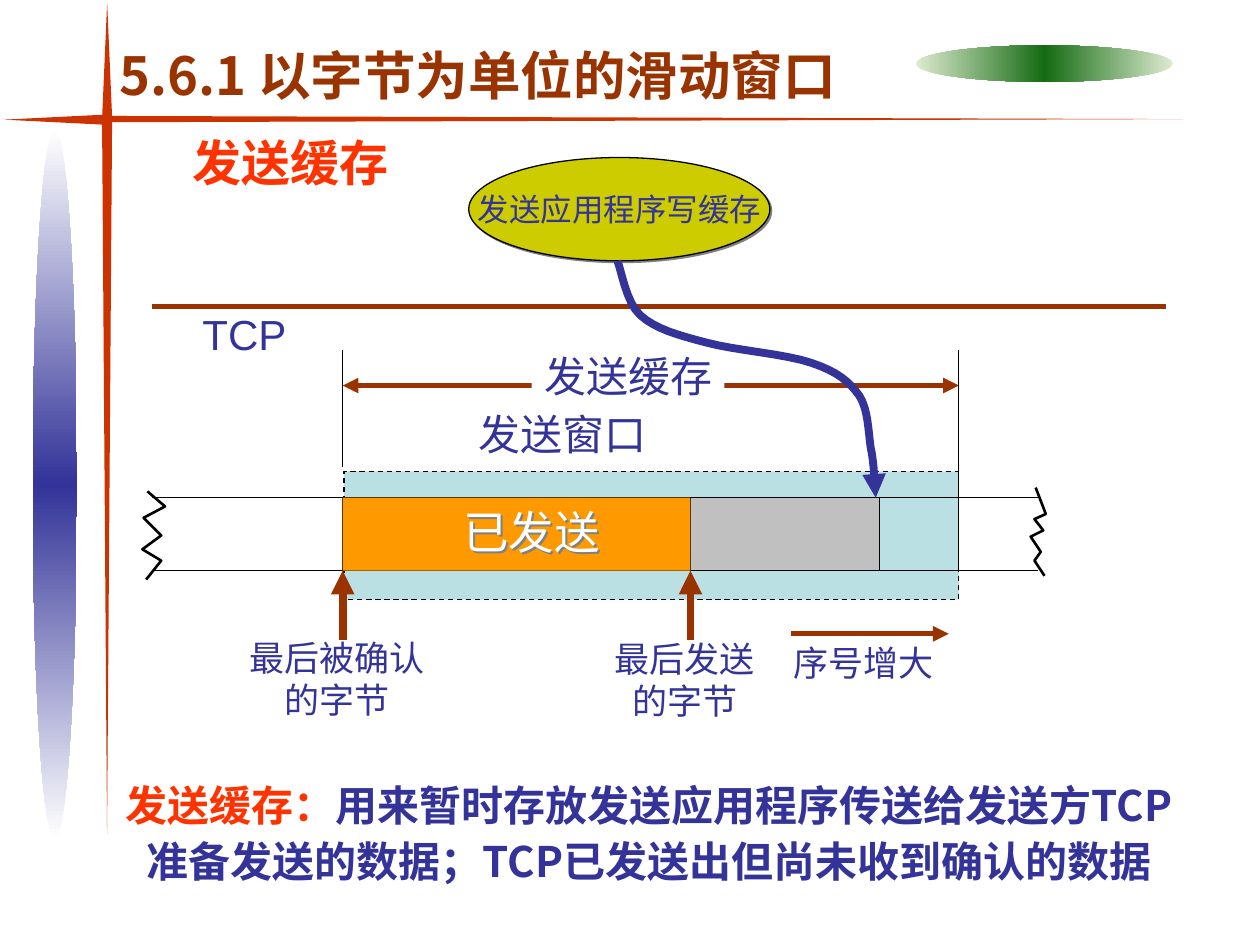
from dataclasses import dataclass

from lxml.etree import SubElement
from pptx import Presentation
from pptx.dml.color import RGBColor
from pptx.enum.dml import MSO_LINE
from pptx.enum.shapes import MSO_CONNECTOR, MSO_SHAPE
from pptx.enum.text import MSO_ANCHOR, MSO_AUTO_SIZE, PP_ALIGN
from pptx.oxml.ns import qn
from pptx.util import Inches, Pt


@dataclass(frozen=True)
class Theme:
    latin: str = "Arial"
    chinese: str = "Noto Sans CJK SC"
    navy: str = "333399"
    brown: str = "993300"
    red: str = "FF3300"
    rust: str = "CC3300"
    black: str = "000000"
    white: str = "FFFFFF"
    shadow: str = "808080"
    window: str = "BBE0E3"
    sent: str = "FF9900"
    unsent: str = "C0C0C0"
    application: str = "CCCC00"
    green: str = "156B13"
    pale_green: str = "DDEBCF"
    title: int = 30
    heading: int = 28
    status: int = 26
    label: int = 24
    note: int = 20
    small: int = 18
    thin: float = 0.75
    edge: float = 1.5
    medium: float = 3
    thick: float = 4.5


THEME = Theme()

# Positions along the byte stream, in inches
ACKED, LAST_SENT, WRITTEN, BUFFER_END = 2.72, 5.48, 6.98, 7.61
STREAM_LEFT, STREAM_RIGHT = 1.21, 8.24
STREAM_TOP, STREAM_BOTTOM = 3.95, 4.53

TITLE = "5.6.1 以字节为单位的滑动窗口"
HEADING = "发送缓存"
EXPLANATION = [
    [("发送缓存：", THEME.red), ("用来暂时存放发送应用程序传送给发送方TCP", THEME.navy)],
    [("准备发送的数据；TCP已发送出但尚未收到确认的数据", THEME.navy)],
]
# text, box, type size
LABELS = [
    ("最后被确认\n的字节", (1.88, 5, 1.59, 0.77), THEME.note),
    ("最后发送\n的字节", (4.78, 5.01, 1.31, 0.77), THEME.note),
    ("序号增大", (6.2, 5.04, 1.31, 0.44), THEME.note),
    ("发送窗口", (3.7, 3.19, 1.53, 0.5), THEME.label),
    ("TCP", (1.48, 2.4, 0.92, 0.5), THEME.label),
]
# box, rotation of each tapering blade of the frame
BLADES = [
    ((0.81, 0.94, 0.08, 5.68), 0),
    ((5.08, -3.34, 0.05, 8.57), 270),
    ((0.39, 0.55, 0.08, 0.8), 90),
    ((0.81, 0.02, 0.08, 0.92), 180),
]
# box, outer colour, middle colour, angle
GLOWS = [
    ((7.27, 0.36, 2.04, 0.29), THEME.pale_green, THEME.green, 0),
    ((0.26, 1.03, 0.35, 5.63), THEME.white, THEME.navy, 90),
]
TORN_EDGES = [
    [(8.22, 3.87), (8.3, 4.08), (8.21, 4.12), (8.28, 4.21),
     (8.18, 4.26), (8.26, 4.38), (8.21, 4.45), (8.29, 4.57)],
    [(1.17, 3.9), (1.31, 4.02), (1.14, 4.11), (1.28, 4.25),
     (1.13, 4.36), (1.28, 4.45), (1.16, 4.6)],
]
# Bezier knots: start, then two controls and an end for each segment
WRITE_CURVE = [
    (4.9, 2.07), (4.93, 2.14), (4.97, 2.4), (5.08, 2.5),
    (5.2, 2.61), (5.38, 2.66), (5.61, 2.72), (5.83, 2.78), (6.24, 2.81), (6.44, 2.88),
    (6.65, 2.95), (6.74, 3.03), (6.82, 3.14), (6.89, 3.25), (6.89, 3.41), (6.91, 3.55),
    (6.94, 3.68), (6.94, 3.86), (6.95, 3.95),
]


def rgb(color):
    return RGBColor.from_string(color)


def add_drop_shadow(shape):
    shape.shadow.inherit = False
    effects = shape._element.spPr.find(qn("a:effectLst"))
    shadow = SubElement(effects, qn("a:outerShdw"), dist="17960", dir="2700000")
    SubElement(shadow, qn("a:srgbClr"), val=THEME.shadow)


def style_line(line, color, width, head=False, tail=False):
    line.color.rgb = rgb(color)
    line.width = Pt(width)
    for name, wanted in (("a:headEnd", head), ("a:tailEnd", tail)):
        if wanted:
            SubElement(line._get_or_add_ln(), qn(name), type="triangle")


def add_line(slide, start, end, color=THEME.black, width=THEME.thin, **arrows):
    line = slide.shapes.add_connector(MSO_CONNECTOR.STRAIGHT, *map(Inches, start + end))
    style_line(line.line, color, width, **arrows)
    SubElement(line._element.spPr, qn("a:effectLst"))


def add_path(slide, points, color, width, **arrows):
    points = [(Inches(x), Inches(y)) for x, y in points]
    builder = slide.shapes.build_freeform(*points[0])
    builder.add_line_segments(points[1:], close=False)
    shape = builder.convert_to_shape()
    shape.shadow.inherit = False
    shape.fill.background()
    style_line(shape.line, color, width, **arrows)


def add_block(slide, kind, box, fill, rotation=0):
    shape = slide.shapes.add_shape(kind, *map(Inches, box))
    shape.shadow.inherit = False
    shape.fill.solid()
    shape.fill.fore_color.rgb = rgb(fill)
    shape.line.fill.background()
    shape.rotation = rotation
    return shape


def add_glow(slide, box, outer, middle, angle):
    shape = add_block(slide, MSO_SHAPE.OVAL, box, outer)
    shape.fill.gradient()
    shape.fill.gradient_angle = angle
    stops = shape._element.spPr.find(qn("a:gradFill")).find(qn("a:gsLst"))
    stops.clear()
    for position, color in ((0, outer), (50000, middle), (100000, outer)):
        stop = SubElement(stops, qn("a:gs"), pos=str(position))
        SubElement(stop, qn("a:srgbClr"), val=color)


def write(shape, text, size, color=THEME.navy, font=THEME.latin, bold=False, align=PP_ALIGN.LEFT,
          wrap=False, spacing=None):
    """Fill a shape with a string, or with paragraphs given as lists of (text, colour)."""
    frame = shape.text_frame
    frame.word_wrap = wrap
    paragraphs = [[(row, color)] for row in text.split("\n")] if isinstance(text, str) else text
    for index, runs in enumerate(paragraphs):
        paragraph = frame.add_paragraph() if index else frame.paragraphs[0]
        paragraph.alignment = align
        if spacing:
            paragraph.line_spacing = spacing
        for run_text, run_color in runs:
            run = paragraph.add_run()
            run.text = run_text
            run.font.size, run.font.bold = Pt(size), bold
            run.font.color.rgb = rgb(run_color)
            run.font.name = font
            SubElement(run._r.get_or_add_rPr(), qn("a:ea"), typeface=THEME.chinese)


def add_text(slide, text, box, size, **style):
    shape = slide.shapes.add_textbox(*map(Inches, box))
    write(shape, text, size, **style)
    shape.text_frame.auto_size = MSO_AUTO_SIZE.SHAPE_TO_FIT_TEXT
    return shape


def sample_curve(knots, steps=8):
    points = [knots[0]]
    for first in range(0, len(knots) - 1, 3):
        segment = knots[first:first + 4]
        for step in range(1, steps + 1):
            t = step / steps
            weights = ((1 - t) ** 3, 3 * t * (1 - t) ** 2, 3 * t * t * (1 - t), t ** 3)
            points.append(tuple(sum(w * p[axis] for w, p in zip(weights, segment)) for axis in (0, 1)))
    return points


def add_frame(slide):
    for glow in GLOWS:
        add_glow(slide, *glow)
    for box, rotation in BLADES:
        add_block(slide, MSO_SHAPE.FLOWCHART_MERGE, box, THEME.rust, rotation)


def add_stream(slide):
    height = STREAM_BOTTOM - STREAM_TOP
    add_block(slide, MSO_SHAPE.RECTANGLE, (LAST_SENT, STREAM_TOP, WRITTEN - LAST_SENT, height), THEME.unsent)
    for y in (STREAM_TOP, STREAM_BOTTOM):
        add_line(slide, (STREAM_LEFT, y), (STREAM_RIGHT, y))
    for x in (ACKED, LAST_SENT, WRITTEN):
        add_line(slide, (x, STREAM_TOP), (x, STREAM_BOTTOM))
    add_block(slide, MSO_SHAPE.RECTANGLE, (ACKED, STREAM_TOP, LAST_SENT - ACKED, height), THEME.sent)
    sent_label = add_text(slide, "已发送", (3.58, 3.95, 1.4, 0.54), THEME.status, color=THEME.white)
    add_drop_shadow(sent_label)
    for x in (ACKED, LAST_SENT):
        add_line(slide, (x, 5.08), (x, STREAM_BOTTOM), THEME.brown, THEME.thick, tail=True)
    for x, bottom in ((ACKED, 3.71), (BUFFER_END, STREAM_BOTTOM)):
        add_line(slide, (x, 2.78), (x, bottom))
    for edge in TORN_EDGES:
        add_path(slide, edge, THEME.black, THEME.edge)


def main():
    presentation = Presentation()
    presentation.slide_width, presentation.slide_height = Inches(10), Inches(7.5)
    slide = presentation.slides.add_slide(presentation.slide_layouts[6])

    window = add_block(slide, MSO_SHAPE.RECTANGLE, (2.73, 3.74, 4.88, 1.02), THEME.window)
    style_line(window.line, THEME.black, THEME.thin)
    window.line.dash_style = MSO_LINE.DASH
    add_frame(slide)

    application = add_block(slide, MSO_SHAPE.OVAL, (3.72, 1.25, 2.39, 0.82), THEME.application)
    style_line(application.line, THEME.black, THEME.thin)
    add_drop_shadow(application)
    write(application, "发送应用程序写缓存", THEME.small, align=PP_ALIGN.CENTER)
    application.text_frame.vertical_anchor = MSO_ANCHOR.MIDDLE

    add_line(slide, (1.21, 2.43), (9.25, 2.43), THEME.brown, THEME.medium)
    add_line(slide, (ACKED, 3.06), (BUFFER_END, 3.06), THEME.brown, THEME.medium, head=True, tail=True)
    buffer_label = add_text(slide, "发送缓存", (4.22, 2.73, 1.53, 0.5), THEME.label)
    buffer_label.fill.solid()
    buffer_label.fill.fore_color.rgb = rgb(THEME.white)
    add_stream(slide)
    add_path(slide, sample_curve(WRITE_CURVE), THEME.navy, THEME.thick, tail=True)
    add_line(slide, (6.28, 5.03), (7.53, 5.03), THEME.brown, THEME.medium, tail=True)

    for text, box, size in LABELS:
        add_text(slide, text, box, size, align=PP_ALIGN.CENTER)
    add_text(slide, HEADING, (1.43, 1, 2.01, 0.57), THEME.heading, color=THEME.red, bold=True, wrap=True)
    add_text(slide, TITLE, (0.85, 0.29, 7.39, 0.6), THEME.title, color=THEME.brown,
             font=THEME.chinese, bold=True, wrap=True)
    add_text(slide, EXPLANATION, (0.89, 6.1, 8.52, 0.98), THEME.label, font=THEME.chinese,
             bold=True, align=PP_ALIGN.CENTER, wrap=True, spacing=1.1)
    presentation.save("out.pptx")


if __name__ == "__main__":
    main()
